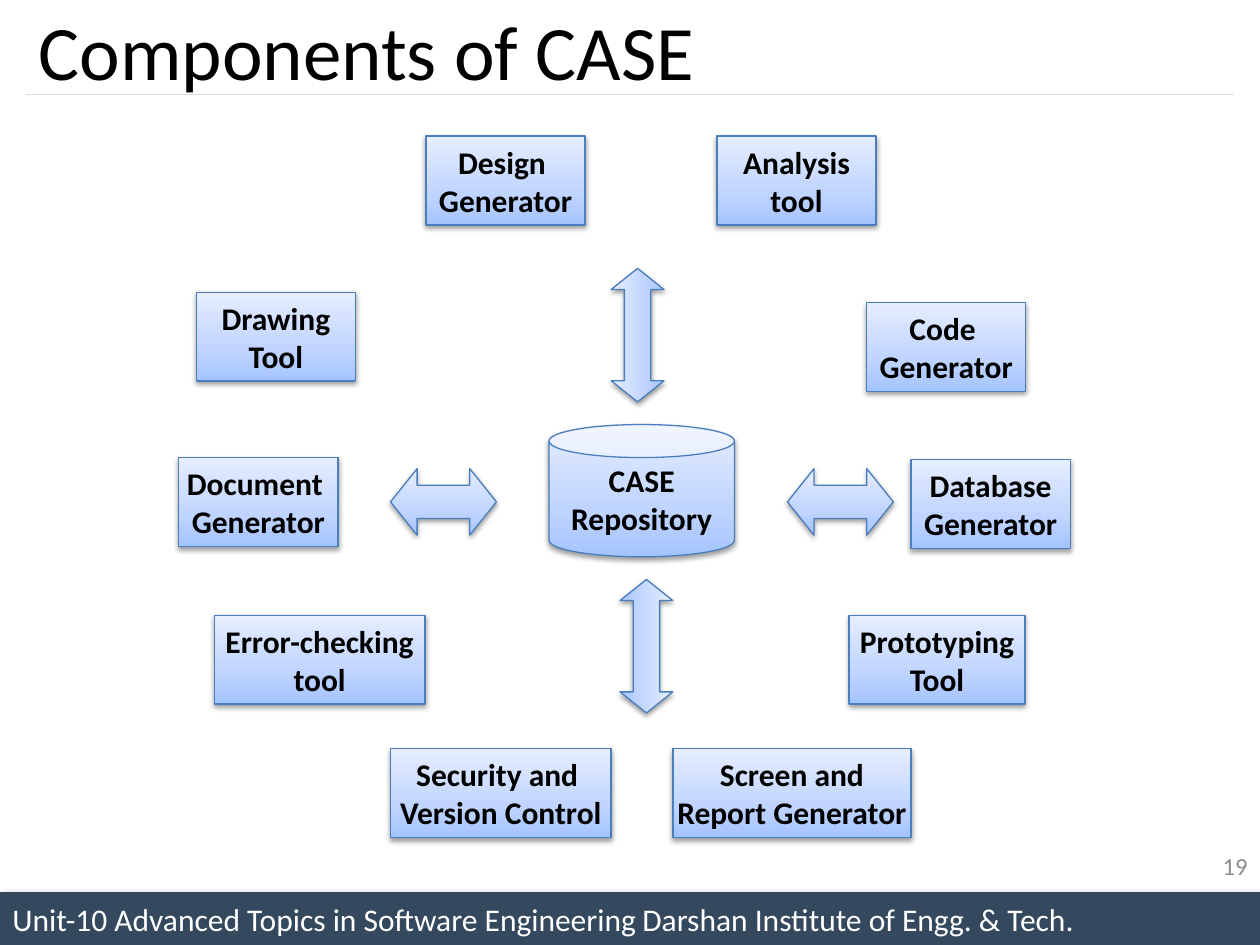
from copy import deepcopy
from lxml import etree
from pptx import Presentation
from pptx.dml.color import RGBColor
from pptx.enum import shapes, text
from pptx.oxml import ns
from pptx.util import Pt

BLACK = RGBColor(0, 0, 0)
WHITE = RGBColor(255, 255, 255)
NAVY = RGBColor(0x34, 0x49, 0x5E)
RULE = RGBColor(0xD9, 0xD9, 0xD9)
GREY = RGBColor(0x8C, 0x8C, 0x8C)
EDGE = RGBColor(0x4B, 0x7E, 0xBC)
STOPS = [
    (0, RGBColor(0xA4, 0xC4, 0xFF)),
    (0.35, RGBColor(0xBF, 0xD4, 0xFF)),
    (1, RGBColor(0xE6, 0xEE, 0xFF)),
]
KIND = shapes.MSO_SHAPE
ALIGN = text.PP_ALIGN

TOOLS = [
    ("Design \nGenerator", 141.2, 0, 91),
    ("Analysis\ntool", 307.5, 0, 91),
    ("Drawing\nTool", 10, 89.2, 91),
    ("Code \nGenerator", 393, 95, 91),
    ("Document \nGenerator", 0, 183.6, 91),
    ("Database\nGenerator", 418.4, 185, 91),
    ("Error-checking\ntool", 20.2, 273.8, 120.5),
    ("Prototyping\nTool", 383, 273.8, 100.5),
    ("Security and \nVersion Control", 121, 350, 126),
    ("Screen and\nReport Generator", 282.4, 350, 136),
]
ARROWS = [
    (121, 190, 60.5, 38, 0),
    (347.8, 190, 60.5, 38, 0),
    (224, 98.6, 76.3, 30.2, 270),
    (229, 276.4, 76.3, 30.2, 90),
]


def write(shape, words, size, color, align=ALIGN.LEFT, bold=False, wrap=True):
    frame = shape.text_frame
    frame.text = words
    frame.word_wrap = wrap
    frame.vertical_anchor = text.MSO_ANCHOR.MIDDLE
    for para in frame.paragraphs:
        para.alignment = align
        font = para.font
        font.name, font.size, font.bold = "Calibri", Pt(size), bold
        font.color.rgb = color


def shade(shape, alpha, blur, dist, angle):
    shape.shadow.inherit = False
    effects = shape._element.spPr.find(ns.qn("a:effectLst"))
    outer = etree.SubElement(
        effects, ns.qn("a:outerShdw"), blurRad=str(Pt(blur)),
        dist=str(Pt(dist)), dir=str(angle * 60000), rotWithShape="0")
    color = etree.SubElement(outer, ns.qn("a:srgbClr"), val="000000")
    etree.SubElement(color, ns.qn("a:alpha"), val=str(alpha * 1000))


def block(slide, kind, left, top, width, height):
    shape = slide.shapes.add_shape(kind, Pt(left), Pt(top), Pt(width), Pt(height))
    shape.fill.gradient()
    shape.fill.gradient_angle = 90
    row = shape._element.spPr.find(".//" + ns.qn("a:gsLst"))
    row.append(deepcopy(row[0]))
    for stop, (place, color) in zip(shape.fill.gradient_stops, STOPS):
        stop.position = place
        stop.color.rgb = color
    shape.line.color.rgb = EDGE
    shape.line.width = Pt(0.75)
    shade(shape, 38, 3.1, 1.6, 90)
    return shape


def header(slide, left, top, width, height):
    title = slide.shapes.add_textbox(Pt(left), Pt(top), Pt(width), Pt(height))
    write(title, "Components of CASE", 44, BLACK, wrap=False)
    base = Pt(top + 57.6)
    rule = slide.shapes.add_connector(
        shapes.MSO_CONNECTOR.STRAIGHT, Pt(left), base, Pt(left + width), base)
    rule.line.color.rgb = RULE
    rule.line.width = Pt(0.75)
    etree.SubElement(rule._element.spPr, ns.qn("a:effectLst"))


def diagram(slide, left, top):
    for x, y, width, height, turn in ARROWS:
        arrow = block(slide, KIND.LEFT_RIGHT_ARROW, left + x, top + y, width, height)
        arrow.adjustments[1] = 0.4
        arrow.rotation = turn
    store = block(slide, KIND.CAN, left + 211.5, top + 164.8, 106, 75.6)
    write(store, "CASE\nRepository", 18, BLACK, ALIGN.CENTER, True, False)
    for words, x, y, width in TOOLS:
        tool = block(slide, KIND.RECTANGLE, left + x, top + y, width, 50.8)
        write(tool, words, 18, BLACK, ALIGN.CENTER, True, False)


def footer(slide, left, top, width, height):
    bar = slide.shapes.add_shape(
        KIND.RECTANGLE, Pt(left), Pt(top), Pt(width), Pt(height))
    bar.fill.solid()
    bar.fill.fore_color.rgb = NAVY
    bar.line.fill.background()
    shade(bar, 40, 4, 3, 45)
    words = ("Unit-10 Advanced Topics in Software Engineering"
             "\tDarshan Institute of Engg. & Tech.")
    bar.text_frame.text = words
    props = bar.text_frame.paragraphs[0]._p.get_or_add_pPr()
    tabs = etree.SubElement(props, ns.qn("a:tabLst"))
    etree.SubElement(tabs, ns.qn("a:tab"), pos=str(Pt(width - 18)), algn="r")
    write(bar, words, 18, WHITE)
    page = slide.shapes.add_textbox(
        Pt(left + width - 168), Pt(top - 29.6), Pt(168), Pt(28.8))
    write(page, "19", 14, GREY, ALIGN.RIGHT)


def main():
    deck = Presentation()
    deck.slide_width, deck.slide_height = Pt(720), Pt(540)
    slide = deck.slides.add_slide(deck.slide_layouts[6])
    footer(slide, 0, 509.8, 720, 30.2)
    header(slide, 15, -3.6, 690, 63.4)
    diagram(slide, 102.2, 77.8)
    deck.save("out.pptx")


if __name__ == "__main__":
    main()
